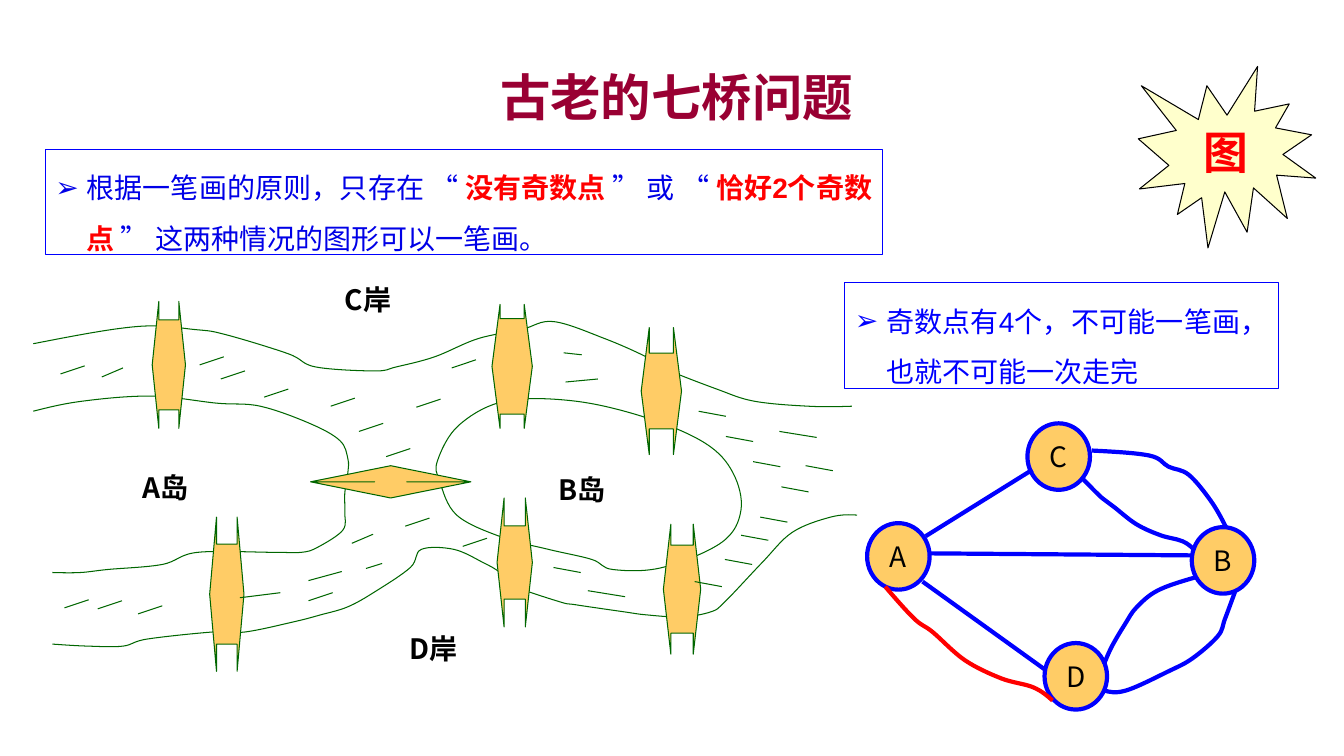
from dataclasses import dataclass
from lxml import etree
from pptx import Presentation
from pptx.dml.color import RGBColor
from pptx.enum.shapes import MSO_CONNECTOR, MSO_SHAPE
from pptx.enum.text import MSO_ANCHOR, PP_ALIGN
from pptx.oxml.ns import qn
from pptx.util import Inches, Pt

CJK = "Noto Sans CJK SC"
GREEN, BLUE, RED, INK, AMBER = "006600", "0000FF", "FF0000", "0000E7", "FFCC66"
Point = tuple[float, float]


@dataclass
class Run:
    text: str
    size: float = 20
    color: str = "000000"
    bold: bool = False
    font: str = CJK


@dataclass
class Curve:
    points: list[Point]
    color: str = GREEN
    width: float = 0.75
    closed: bool = False


@dataclass
class Bridge:
    box: tuple[float, float, float, float]
    deck: float
    kind: MSO_SHAPE = MSO_SHAPE.LEFT_RIGHT_ARROW


@dataclass
class Mark:
    text: str
    left: float
    top: float


# River banks and the eastern island
BANKS = [
    Curve([(0.33, 3.41), (1.35, 3.24), (1.94, 3.27), (2.24, 3.32), (2.86, 3.51), (3.13, 3.64),
           (3.72, 3.68), (3.93, 3.64), (4.31, 3.54), (4.74, 3.36), (5.17, 3.27), (5.49, 3.19),
           (6, 3.36), (6.41, 3.54), (6.6, 3.66), (7.11, 3.86), (7.48, 3.98), (8.02, 4.03),
           (8.45, 4.03)]),
    Curve([(0.33, 4.08), (0.82, 3.98), (1.5, 3.93), (2.15, 4), (2.58, 4.03), (3.07, 4.2),
           (3.37, 4.37), (3.45, 4.55), (3.45, 4.69), (3.42, 4.89), (3.42, 5.08), (3.4, 5.26),
           (3.15, 5.43), (2.99, 5.48), (2.72, 5.48), (1.96, 5.48), (1.61, 5.6), (1.07, 5.65),
           (0.8, 5.68), (0.52, 5.68)]),
    Curve([(0.52, 6.39), (0.87, 6.41), (1.22, 6.41), (1.46, 6.34), (2.11, 6.27), (2.43, 6.27),
           (2.91, 6.17), (3.18, 6.1), (3.45, 6.02), (3.72, 5.87), (4.07, 5.63), (4.18, 5.45),
           (4.5, 5.45), (4.79, 5.58), (4.96, 5.68), (5.06, 5.8), (5.55, 5.97), (5.71, 6),
           (6.19, 6.07), (6.41, 6.1), (6.76, 6.12), (7.05, 6.07), (7.19, 5.97), (7.56, 5.58),
           (7.86, 5.28), (8.24, 5.13), (8.5, 5.11)]),
    Curve([(4.36, 4.77), (4.34, 4.57), (4.55, 4.22), (5.01, 3.98), (5.71, 3.98), (6.43, 4.15),
           (7, 4.4), (7.27, 4.69), (7.35, 5.06), (7.16, 5.38), (6.57, 5.63), (6.08, 5.65),
           (5.87, 5.55), (5.44, 5.45), (4.98, 5.33), (4.53, 5.11)], closed=True),
]
BRIDGES = [
    Bridge((1.51, 2.99, 0.33, 1.26), 0.708), Bridge((2.08, 5.13, 0.34, 1.53), 0.648),
    Bridge((4.88, 3.02, 0.4, 1.23), 0.769), Bridge((6.36, 3.25, 0.4, 1.26), 0.597),
    Bridge((4.93, 4.94, 0.35, 1.28), 0.568), Bridge((6.58, 5.2, 0.37, 1.29), 0.677),
    Bridge((3.08, 4.62, 1.59, 0.32), 0.719, MSO_SHAPE.UP_DOWN_ARROW),
]
PLACES = [Mark("A岛", 1.32, 4.62), Mark("B岛", 5.44, 4.64),
          Mark("D岸", 3.96, 6.22), Mark("C岸", 3.32, 2.75)]
# Ripple starting points, keyed by the stroke they share
RIPPLES = {
    (0.24, -0.08): [(0.6, 3.71), (1.98, 3.62), (0.64, 6.03), (1.37, 6.09), (0.97, 6.04),
                    (3.28, 4.03), (2.19, 3.76), (2.62, 3.94), (3.06, 5.96), (3.56, 4.28),
                    (3.83, 4.53), (4.13, 4.04), (4.02, 5.22), (4.48, 3.65), (4.59, 5.42)],
    (0.27, 0.05): [(6.93, 4.08), (7.2, 4.33), (7.47, 4.58), (7.75, 4.83), (7.99, 4.62),
                   (7.19, 5.55), (7.35, 5.31), (7.54, 5.13), (6.89, 5.77), (5.49, 5.63)],
    (0.37, 0.06): [(5.83, 5.86), (7.73, 4.28)],
    (0.21, -0.09): [(1.01, 3.74), (3.49, 5.39)],
    (0.4, -0.05): [(2.38, 5.93)],
    (0.33, -0.09): [(3.06, 5.76)],
    (0.16, -0.05): [(3.63, 5.64)],
    (0.18, 0.02): [(5.59, 3.5)],
    (0.32, -0.03): [(5.61, 3.79)],
}
# Graph of the land areas
NODES = [Mark("A", 8.6, 5.19), Mark("D", 10.36, 6.38), Mark("C", 10.19, 4.2), Mark("B", 11.82, 5.23)]
EDGES = [((9.18, 5.32), (10.24, 4.66)), ((9.15, 5.77), (10.36, 6.64)), ((9.23, 5.49), (11.83, 5.51))]
ARCS = [
    Curve([(10.83, 4.47), (11.4, 4.52), (11.59, 4.63), (11.79, 4.71), (12.01, 4.97), (12.16, 5.23)], BLUE, 3),
    Curve([(10.73, 4.74), (10.93, 4.94), (11.05, 5.03), (11.27, 5.2), (11.51, 5.31), (11.73, 5.37),
           (11.85, 5.46)], BLUE, 3),
    Curve([(12.25, 5.87), (12.15, 6.14), (12.08, 6.31), (11.83, 6.53), (11.59, 6.66), (11.17, 6.85),
           (10.95, 6.85)], BLUE, 3),
    Curve([(10.95, 6.59), (11.03, 6.41), (11.16, 6.19), (11.27, 6.03), (11.48, 5.86), (11.85, 5.73)], BLUE, 3),
]
EXTRA_ARC = Curve([(8.78, 5.82), (9.07, 6.14), (9.25, 6.27), (9.57, 6.55), (9.93, 6.73), (10.25, 6.82),
                   (10.44, 6.95)], RED, 3)


def rgb(color: str) -> RGBColor:
    return RGBColor.from_string(color)


def paint(s, fill: str | None, line: str, width: float = 0.75) -> None:
    s.shadow.inherit = False
    if fill:
        s.fill.solid()
        s.fill.fore_color.rgb = rgb(fill)
    else:
        s.fill.background()
    s.line.color.rgb = rgb(line)
    s.line.width = Pt(width)


def add_shape(shapes, kind: MSO_SHAPE, box, fill: str | None, line: str, width: float = 0.75):
    s = shapes.add_shape(kind, *map(Inches, box))
    paint(s, fill, line, width)
    return s


def write(s, runs: list[Run], align=PP_ALIGN.LEFT, anchor=MSO_ANCHOR.TOP, wrap: bool = True):
    tf = s.text_frame
    tf.word_wrap = wrap
    tf.vertical_anchor = anchor
    p = tf.paragraphs[0]
    p.alignment = align
    for run in runs:
        r = p.add_run()
        r.text = run.text
        f = r.font
        f.size, f.bold, f.name = Pt(run.size), run.bold, run.font
        f.color.rgb = rgb(run.color)
        ea = etree.Element(qn("a:ea"), typeface=CJK)
        r._r.rPr.find(qn("a:latin")).addnext(ea)
    return p


def add_line(shapes, start: Point, end: Point, color: str, width: float) -> None:
    s = shapes.add_connector(MSO_CONNECTOR.STRAIGHT, *map(Inches, start + end))
    s.line.color.rgb = rgb(color)
    s.line.width = Pt(width)
    etree.SubElement(s._element.spPr, qn("a:effectLst"))


def smooth_points(c: Curve) -> list[Point]:
    """Bezier handles and ends; each handle is a sixth of the neighbours' distance."""
    pts, n = c.points, len(c.points)
    result = []
    for i in range(n if c.closed else n - 1):
        a, b = pts[i], pts[(i + 1) % n]
        before, after = pts[i - 1], pts[(i + 2) % n]
        out = tuple(a[k] + (b[k] - before[k]) / 6 for k in (0, 1))
        into = tuple(b[k] - (after[k] - a[k]) / 6 for k in (0, 1))
        if not c.closed and i == 0:
            out = tuple((a[k] + into[k]) / 2 for k in (0, 1))
        if not c.closed and i == n - 2:
            into = tuple((b[k] + out[k]) / 2 for k in (0, 1))
        result += [out, into, b]
    return result


def add_curve(shapes, c: Curve) -> None:
    x, y = map(Inches, c.points[0])
    builder = shapes.build_freeform(x, y)
    builder.add_line_segments([tuple(map(Inches, pt)) for pt in smooth_points(c)], close=c.closed)
    s = builder.convert_to_shape()
    paint(s, None, c.color, c.width)
    # Turn every three line points into one cubic segment
    steps = list(s._element.iter(qn("a:lnTo")))
    for i in range(0, len(steps), 3):
        cubic = etree.Element(qn("a:cubicBezTo"))
        steps[i].addprevious(cubic)
        for step in steps[i:i + 3]:
            cubic.append(step[0])
            step.getparent().remove(step)


def add_note(shapes, box, runs: list[Run]) -> None:
    s = add_shape(shapes, MSO_SHAPE.RECTANGLE, box, None, BLUE)
    p = write(s, runs, PP_ALIGN.JUSTIFY)
    pPr = p._p.get_or_add_pPr()
    pPr.set("marL", str(Inches(0.31)))
    pPr.set("indent", str(-Inches(0.31)))
    etree.SubElement(pPr, qn("a:buFont"), typeface="Arial")
    etree.SubElement(pPr, qn("a:buChar"), char="➢")
    p.line_spacing = 1.5


def main() -> None:
    prs = Presentation()
    prs.slide_width, prs.slide_height = Inches(13.33), Inches(7.5)
    shapes = prs.slides.add_slide(prs.slide_layouts[6]).shapes

    # Map of the river
    river = shapes.add_group_shape().shapes
    for bank in BANKS:
        add_curve(river, bank)
    for b in BRIDGES:
        s = add_shape(river, b.kind, b.box, AMBER, GREEN)
        s.adjustments[0], s.adjustments[1] = b.deck, 0.2
    for m in PLACES:
        s = river.add_textbox(*map(Inches, (m.left, m.top, 1.2, 0.44)))
        write(s, [Run(m.text, bold=True)])
    for (dx, dy), starts in RIPPLES.items():
        for x, y in starts:
            add_line(river, (x, y), (x + dx, y + dy), GREEN, 0.75)

    # Graph
    graph = shapes.add_group_shape().shapes
    for m in NODES:
        s = add_shape(graph, MSO_SHAPE.OVAL, (m.left, m.top, 0.62, 0.66), AMBER, BLUE, 3)
        write(s, [Run(m.text)], PP_ALIGN.CENTER, MSO_ANCHOR.MIDDLE, wrap=False)
    for start, end in EDGES:
        add_line(graph, start, end, BLUE, 3)
    for arc in ARCS:
        add_curve(graph, arc)

    # Title and badge
    s = shapes.add_textbox(*map(Inches, (1, 0.58, 11.42, 0.75)))
    write(s, [Run("古老的七桥问题", 36, "990033", True)], PP_ALIGN.CENTER, MSO_ANCHOR.MIDDLE)
    s = add_shape(shapes, MSO_SHAPE.EXPLOSION1, (11.29, 0.66, 1.76, 1.8), "FFFFCC", "000000")
    write(s, [Run("图", 32, RED, True, "Times New Roman")], PP_ALIGN.CENTER, MSO_ANCHOR.MIDDLE)

    # Notes
    phrases = [("根据一笔画的原则，只存在 “ ", False), ("没有奇数点 ", True), ("” 或 “ ", False),
               ("恰好2个奇数点", True), (" ” 这两种情况的图形可以一笔画。", False)]
    add_note(shapes, (0.45, 1.48, 8.3, 1.05),
             [Run(text, 20, RED if key else INK, key, "Arial") for text, key in phrases])
    add_note(shapes, (8.38, 2.8, 4.3, 1.05),
             [Run("奇数点有4个，不可能一笔画，也就不可能一次走完", 20, BLUE, False, "Arial")])
    add_curve(shapes, EXTRA_ARC)

    prs.save("out.pptx")


if __name__ == "__main__":
    main()
